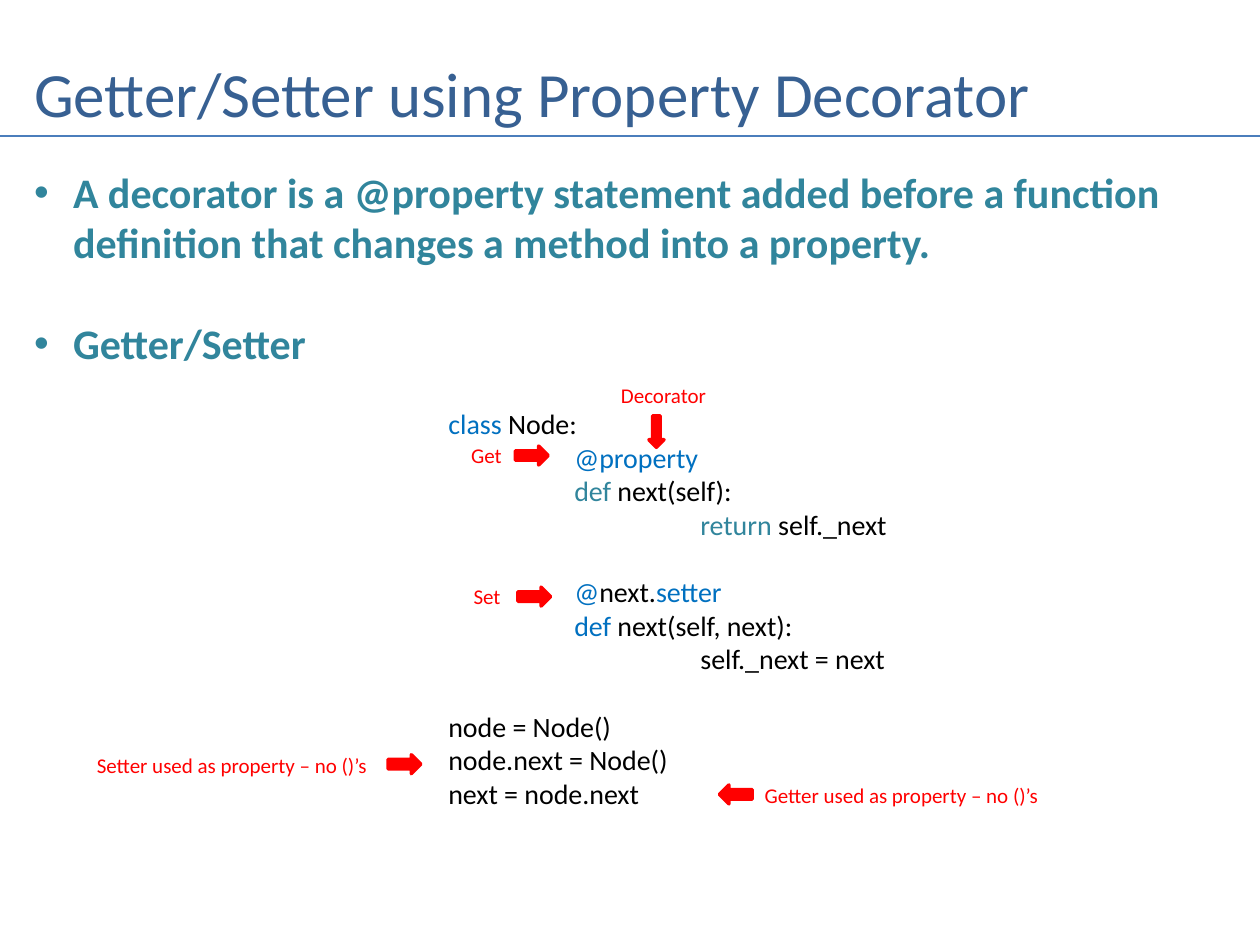
"""Build a slide that explains getters and setters with the property decorator."""
from lxml.etree import SubElement
from pptx import Presentation
from pptx.dml.color import RGBColor
from pptx.enum.shapes import MSO_CONNECTOR as Connector, MSO_SHAPE as Shape
from pptx.enum.text import MSO_ANCHOR as Anchor, MSO_AUTO_SIZE as AutoSize, PP_ALIGN as Align
from pptx.oxml.ns import qn
from pptx.util import Inches, Pt

COLORS = {"title": "376092", "rule": "4B7EBC", "teal": "31859C",
          "blue": "0070C0", "black": "000000", "red": "FF0000"}


def write(paragraph, text, size=16, color="black", bold=False):
    run = paragraph.add_run()
    run.text = text
    run.font.name = "Calibri"
    run.font.size = Pt(size)
    run.font.bold = bold
    run.font.color.rgb = RGBColor.from_string(COLORS[color])


def place(item, left, top, width, height):
    item.left, item.width = int(left * column), int(width * column)
    item.top, item.height = int(top * row), int(height * row)


deck = Presentation()
deck.slide_width, deck.slide_height = Inches(10), Inches(7.5)
column, row = deck.slide_width / 100, deck.slide_height / 75
slide = deck.slides.add_slide(deck.slide_layouts[1])
shapes = slide.shapes

title = shapes.title
place(title, 1.7, 3, 98.3, 8.7)
title.text_frame.auto_size = AutoSize.NONE
title.text_frame.vertical_anchor = Anchor.MIDDLE
heading = title.text_frame.paragraphs[0]
heading.alignment = Align.LEFT
write(heading, "Getter/Setter using Property Decorator", size=36, color="title")

rule = shapes.add_connector(Connector.STRAIGHT, 0, int(10.8 * row),
                            deck.slide_width, int(10.8 * row))
rule.line.color.rgb = RGBColor.from_string(COLORS["rule"])
rule.line.width = Pt(1.5)
SubElement(rule._element.spPr, qn("a:effectLst"))

body = slide.placeholders[1]
place(body, 1.7, 12.7, 92.3, 17.2)
body.text_frame.auto_size = AutoSize.NONE
points = [
    ("A decorator is a @property statement added before a function "
     "definition that changes a method into a property.", 0),
    ("Getter/Setter", 29),
]
for index, (point, gap) in enumerate(points):
    bullet = body.text_frame.add_paragraph() if index else body.text_frame.paragraphs[0]
    bullet.space_before = Pt(gap)
    properties = bullet._p.get_or_add_pPr()
    properties.set("marL", str(Inches(0.31)))
    properties.set("indent", str(-Inches(0.31)))
    write(bullet, point, size=24, color="teal", bold=True)

code = shapes.add_textbox(0, 0, 0, 0)
place(code, 34.6, 31.8, 37.2, 33.3)
code.text_frame.word_wrap = False
code_lines = [
    (0, 0, [("class ", "blue"), ("Node:", "black")]),
    (1, 0, [("@property", "blue")]),
    (1, 0, [("def ", "teal"), ("next(self):", "black")]),
    (2, 0, [("return ", "teal"), ("self._next", "black")]),
    (1, 1, [("@", "blue"), ("next.", "black"), ("setter", "blue")]),
    (1, 0, [("def ", "blue"), ("next(self, next):", "black")]),
    (2, 0, [("self._next = next", "black")]),
    (0, 1, [("node = Node()", "black")]),
    (0, 0, [("node.next = Node()", "black")]),
    (0, 0, [("next = node.next", "black")]),
]
for index, (depth, gap, tokens) in enumerate(code_lines):
    statement = code.text_frame.add_paragraph() if index else code.text_frame.paragraphs[0]
    statement.space_before = Pt(19.2 * gap)
    statement._p.get_or_add_pPr().set("marL", str(Inches(depth)))
    for token, color in tokens:
        write(statement, token, color=color)

across, down = (2.6, 1.5), (1.2, 2.5)
callouts = [
    ("Decorator", (48.3, 29.9, 8.8), Shape.DOWN_ARROW, (51.5, 33), down, 0),
    ("Get", (36.4, 34.6, 4.5), Shape.RIGHT_ARROW, (40.9, 35.4), across, 0),
    ("Set", (36.6, 45.8, 4.2), Shape.RIGHT_ARROW, (41.1, 46.6), across, 0),
    ("Setter used as property – no ()’s", (6.7, 59.2, 24),
     Shape.RIGHT_ARROW, (30.8, 59.9), across, 0),
    ("Getter used as property – no ()’s", (59.7, 61.6, 24),
     Shape.RIGHT_ARROW, (57.1, 62.3), across, 180),
]
for words, label_spot, arrow_kind, arrow_spot, arrow_size, turn in callouts:
    label = shapes.add_textbox(0, 0, 0, 0)
    place(label, *label_spot, 3)
    label.text_frame.word_wrap = False
    write(label.text_frame.paragraphs[0], words, size=12, color="red")

    arrow = shapes.add_shape(arrow_kind, 0, 0, 0, 0)
    place(arrow, *arrow_spot, *arrow_size)
    arrow.rotation = turn
    arrow.shadow.inherit = False
    arrow.fill.solid()
    arrow.fill.fore_color.rgb = RGBColor.from_string(COLORS["red"])
    arrow.line.color.rgb = RGBColor.from_string(COLORS["red"])
    arrow.line.width = Pt(2)

deck.save("out.pptx")
